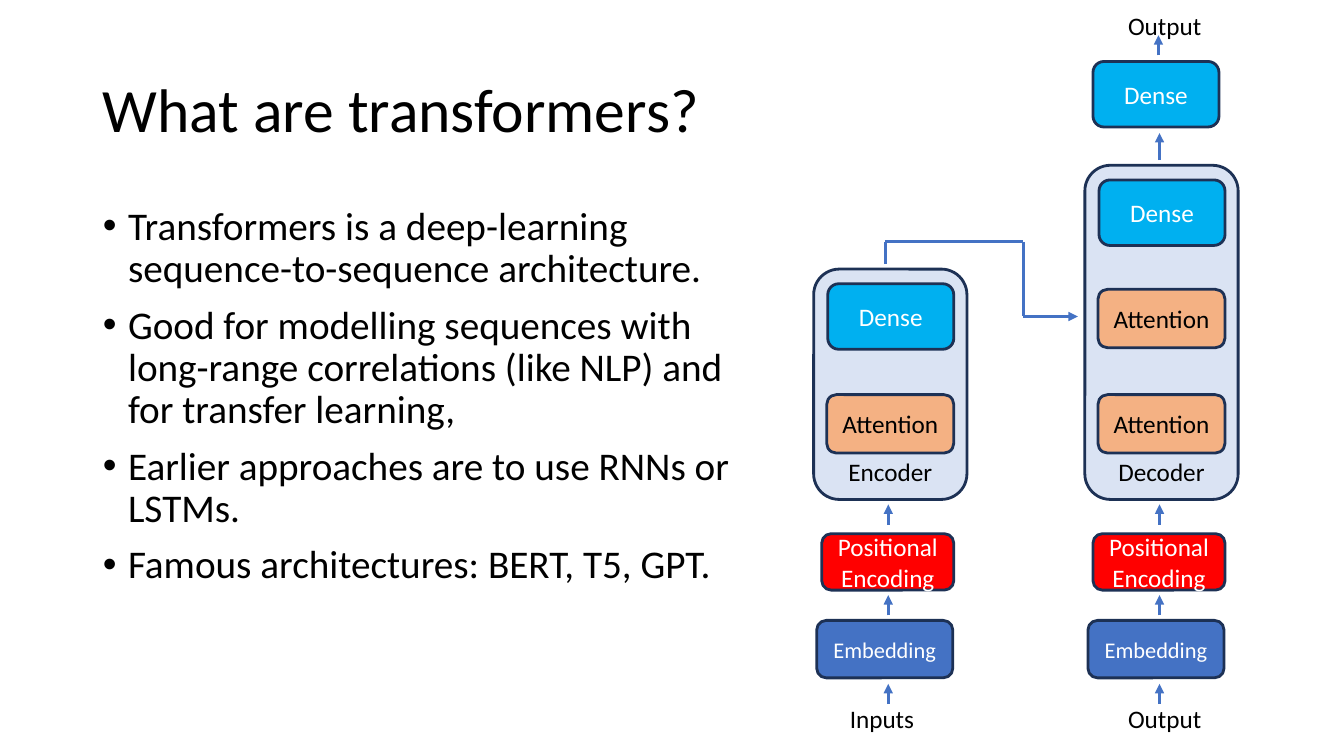
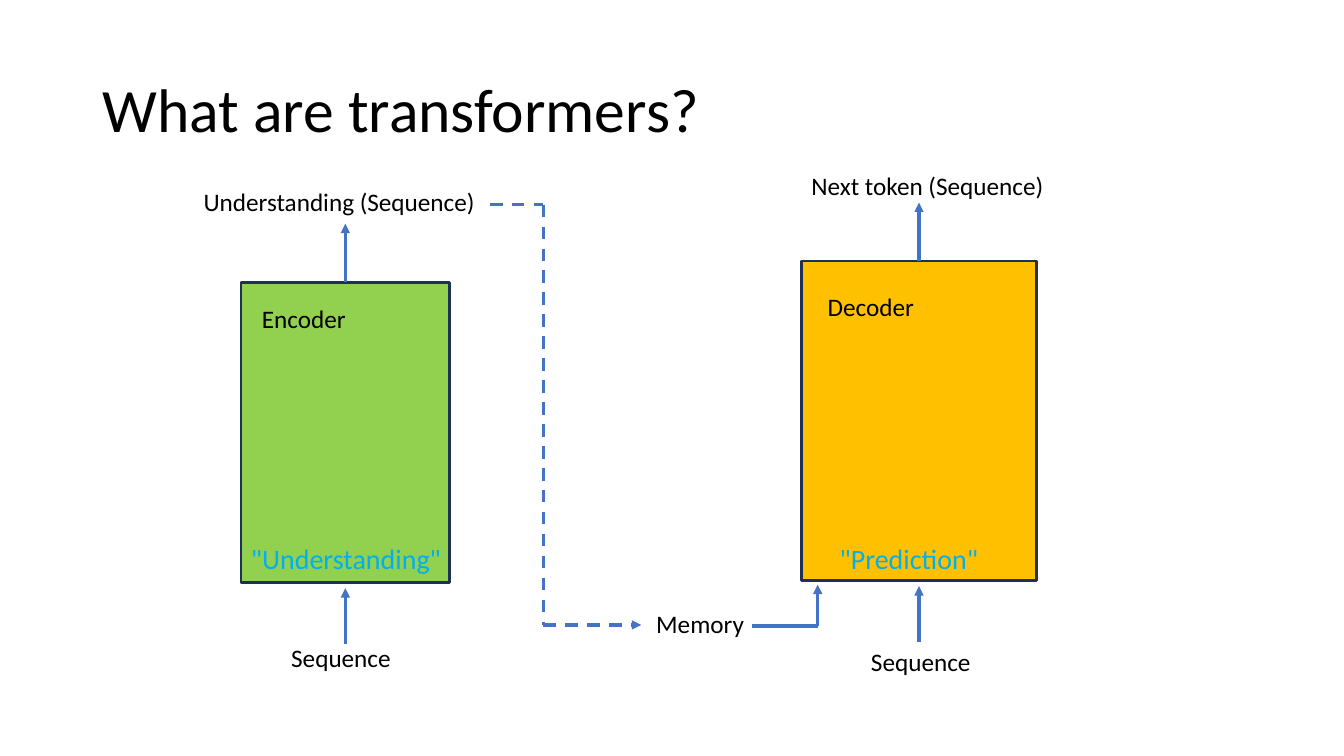
from lxml import etree
from pptx import Presentation
from pptx import util as u
from pptx.dml.color import RGBColor
from pptx.enum import dml, shapes, text
from pptx.oxml.ns import qn

FONT = "Calibri"
HUE = {
    "ink": "000000", "paper": "FFFFFF", "edge": "1D3155", "wire": "4472C4",
    "frame": "DAE3F3", "embed": "4472C4", "attend": "F4B183",
    "dense": "00B0F0", "place": "FF0000", "green": "92D050", "gold": "FFC000",
}
ROUND = shapes.MSO_SHAPE.ROUNDED_RECTANGLE
RECT = shapes.MSO_SHAPE.RECTANGLE
MID, LOW, TOP = text.MSO_ANCHOR.MIDDLE, text.MSO_ANCHOR.BOTTOM, text.MSO_ANCHOR.TOP
LEFT, MIDST = text.PP_ALIGN.LEFT, text.PP_ALIGN.CENTER
TITLE = "What are transformers?"
POINTS = [
    "Transformers is a deep-learning\nsequence-to-sequence architecture.",
    "Good for modelling sequences with long-range correlations (like NLP) "
    "and for transfer learning,",
    "Earlier approaches are to use RNNs or LSTMs.",
    "Famous architectures: BERT, T5, GPT.",
]


def grid(*cells):
    """Turn columns and rows, ten to the inch, into slide lengths."""
    return [u.Inches(c / 10) for c in cells]


def rgb(name):
    return RGBColor.from_string(HUE[name])


def write(frame, *lines, size=18, color="ink", align=LEFT, anchor=TOP,
          lead=None, gap=0, indent=0, fit=text.MSO_AUTO_SIZE.NONE):
    frame.word_wrap = True
    frame.auto_size = fit
    frame.vertical_anchor = anchor
    for n, line in enumerate(lines):
        para = frame.add_paragraph() if n else frame.paragraphs[0]
        para.text = line
        para.alignment = align
        para.space_before = u.Pt(gap if n else 0)
        if lead:
            para.line_spacing = lead
        if indent:
            props = para._p.get_or_add_pPr()
            props.set("marL", str(u.Inches(indent)))
            props.set("indent", str(-u.Inches(indent)))
        for run in para.runs:
            run.font.name, run.font.size = FONT, u.Pt(size)
            run.font.color.rgb = rgb(color)


def move(holder, *box):
    holder.left, holder.top, holder.width, holder.height = grid(*box)


def head(slide, width):
    move(slide.shapes.title, 9.2, 3.95, width, 14.5)
    write(slide.shapes.title.text_frame, TITLE, size=44, anchor=MID, lead=0.9)


def label(slide, words, x, y, w, size=18, color="ink"):
    note = slide.shapes.add_textbox(*grid(x, y, w, size / 4.5))
    write(note.text_frame, words, size=size, color=color,
          fit=text.MSO_AUTO_SIZE.SHAPE_TO_FIT_TEXT)


def block(slide, box, fill, words=None, kind=ROUND, **style):
    shape = slide.shapes.add_shape(kind, *grid(*box))
    shape.shadow.inherit = False
    shape.fill.solid()
    shape.fill.fore_color.rgb = rgb(fill)
    shape.line.color.rgb = rgb("edge")
    shape.line.width = u.Pt(2)
    if words:
        write(shape.text_frame, words, align=MIDST, **{"anchor": MID, **style})
    return shape


def wire(slide, *ends, tip=True, dash=False, start=None):
    line = slide.shapes.add_connector(shapes.MSO_CONNECTOR.STRAIGHT, *grid(*ends))
    if start is not None:
        line.begin_connect(start, 0)
    line.line.color.rgb = rgb("wire")
    line.line.width = u.Pt(2.25)
    if dash:
        line.line.dash_style = dml.MSO_LINE.DASH
    props = line._element.spPr
    if tip:
        etree.SubElement(props.find(qn("a:ln")), qn("a:tailEnd"), type="triangle")
    etree.SubElement(props, qn("a:effectLst"))


def route(slide, *spots, dash=False):
    """Join the spots with straight lines; the last one has an arrowhead."""
    for n, (a, b) in enumerate(zip(spots, spots[1:]), 2):
        wire(slide, *a, *b, tip=n == len(spots), dash=dash)


def dense(slide, x, y):
    block(slide, (x, y, 12.5, 6.5), "dense", "Dense", color="paper")


def tower(slide, box, name, layers, feed, shift):
    """Draw a stack of attention layers with its input chain below."""
    x, y, w, h = box
    base, mid = y + h, x + 7.4
    block(slide, box, "frame", name, anchor=LOW)
    dense(slide, x + 1.4, y + 1.45)
    for n in range(layers):
        block(slide, (x + 1.3, base - 10.4 - 10.45 * n, 12.6, 5.8),
              "attend", "Attention")
    block(slide, (x + 0.8, base + 3.4, 13.1, 5.6), "place",
          "Positional Encoding", color="paper")
    block(slide, (x + 0.3, base + 12, 13.5, 5.7), "embed", "Embedding",
          size=16, color="paper")
    for drop in (0.5, 9.5, 18.3):
        wire(slide, mid, base + drop + 2, mid, base + drop)
    label(slide, feed, x + shift, base + 19.75, 9.4)


def stage(slide, box, fill, notes):
    """Draw a box with arrows in and out; notes are placed from its corner."""
    x, y, w, h = box
    mid, base = x + w / 2, y + h
    body = block(slide, box, fill, kind=RECT)
    wire(slide, mid, y, mid, y - 5.8, start=body)
    wire(slide, mid, base + 6.1, mid, base + 0.55)
    for words, dx, dy, wide, *style in notes:
        label(slide, words, x + dx, y + dy, wide, *style)


def layers(deck):
    slide = deck.slides.add_slide(deck.slide_layouts[1])
    head(slide, 75.2)
    body = slide.placeholders[1]
    move(body, 9.2, 20, 67.2, 47.6)
    write(body.text_frame, *POINTS, size=28, lead=0.9, gap=10, indent=0.25)
    tower(slide, (80.7, 26.7, 15.2, 22.85), "Encoder", 1, "Inputs", 2.6)
    tower(slide, (107.6, 16.4, 15.2, 33.15), "Decoder", 2, "Output", 3.3)
    dense(slide, 108.4, 6.1)
    wire(slide, 115, 15.9, 115, 13.2)
    wire(slide, 114.9, 5.5, 114.9, 3.5)
    label(slide, "Output", 110.9, 0.5, 9.4)
    route(slide, (87.8, 26.2), (87.8, 24), (101.5, 24), (101.5, 31.4), (106.9, 31.4))


def flow(deck):
    slide = deck.slides.add_slide(deck.slide_layouts[5])
    head(slide, 115)
    stage(slide, (23.9, 28, 20.7, 29.8), "green", [
        ("Encoder", 1.1, 1.6, 11.6),
        ("Sequence", 4, 35.2, 12.7),
        ("Understanding (Sequence)", -4.7, -10, 29.8),
        ('"Understanding"', 0, 25.2, 22.9, 20, "dense"),
    ])
    stage(slide, (79.5, 25.9, 23.3, 31.7), "gold", [
        ("Decoder", 1.6, 2.5, 11.2),
        ("Sequence", 5.9, 37.7, 11.9),
        ("Next token (Sequence)", 0, -9.5, 26),
        ('"Prediction"', 2.8, 27.3, 16.6, 20, "dense"),
    ])
    label(slide, "Memory", 64.1, 59.9, 11.9)
    route(slide, (48.6, 20.3), (53.9, 20.3), (53.9, 62), (63.6, 62), dash=True)
    route(slide, (74.6, 62.1), (81.1, 62.1), (81.1, 58))


def main():
    deck = Presentation()
    deck.slide_width, deck.slide_height = u.Inches(13.33), u.Inches(7.5)
    layers(deck)
    flow(deck)
    deck.save("out.pptx")


if __name__ == "__main__":
    main()
